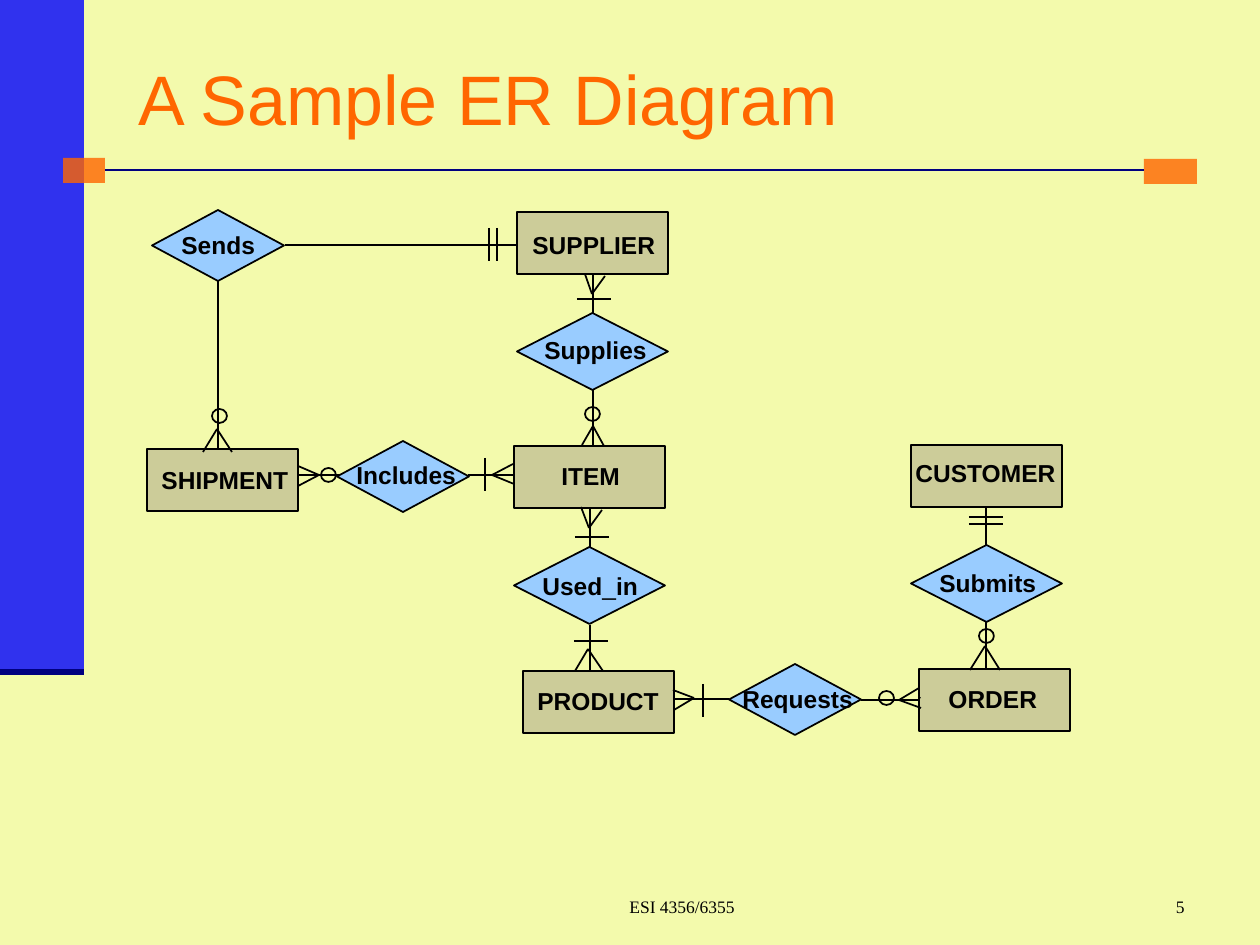
from pptx import Presentation
from pptx.dml.color import RGBColor
from pptx.enum.shapes import MSO_CONNECTOR, MSO_SHAPE
from pptx.enum.text import MSO_ANCHOR, MSO_AUTO_SIZE, PP_ALIGN
from pptx.oxml.ns import qn
from pptx.util import Pt
from lxml.etree import SubElement

PX = 914400 / 126
CREAM = RGBColor(0xF3, 0xFA, 0xAC)
BLUE = RGBColor(0x00, 0x00, 0xFF)
NAVY = RGBColor(0x00, 0x00, 0x80)
ORANGE = RGBColor(0xFF, 0x66, 0x00)
TAN = RGBColor(0xCC, 0xCC, 0x99)
SKY = RGBColor(0x99, 0xCC, 0xFF)
BLACK = RGBColor(0x00, 0x00, 0x00)

deck = Presentation()
deck.slide_width, deck.slide_height = round(1260 * PX), round(945 * PX)
slide = deck.slides.add_slide(deck.slide_layouts[5])
slide.background.fill.solid()
slide.background.fill.fore_color.rgb = CREAM
shapes = slide.shapes


def add_form(kind, box, fill=None, edge=None):
    form = shapes.add_shape(kind, *[round(n * PX) for n in box])
    form.shadow.inherit = False
    if fill is None:
        form.fill.background()
    else:
        form.fill.solid()
        form.fill.fore_color.rgb = fill
    if edge is None:
        form.line.fill.background()
    else:
        form.line.color.rgb = edge
        form.line.width = Pt(1)
    return form


def add_line(start, end, color=BLACK, width=1):
    line = shapes.add_connector(
        MSO_CONNECTOR.STRAIGHT, *[round(n * PX) for n in (*start, *end)])
    line.line.color.rgb = color
    line.line.width = Pt(width)
    SubElement(line._element.spPr, qn("a:effectLst"))


bands = [
    ((0, 0, 84, 672), BLUE),
    ((1144, 159, 53, 25), ORANGE),
    ((63, 158, 42, 25), ORANGE),
]
for box, color in bands:
    band = add_form(MSO_SHAPE.RECTANGLE, box, color)
    tint = band._element.spPr.find(qn("a:solidFill"))[0]
    SubElement(tint, qn("a:alpha")).set("val", "80000")
add_line((0, 672), (84, 672), NAVY, 3.5)
add_line((105, 170), (1144, 170), NAVY, 1.5)

title = shapes.title
title.left, title.top, title.width, title.height = [
    round(n * PX) for n in (126, 37, 1071, 120)]
frame = title.text_frame
frame.auto_size = MSO_AUTO_SIZE.NONE
frame.vertical_anchor = MSO_ANCHOR.MIDDLE
para = frame.paragraphs[0]
para.alignment = PP_ALIGN.LEFT
run = para.add_run()
run.text = "A Sample ER Diagram"
run.font.size = Pt(40)
run.font.name = "Arial"
run.font.color.rgb = ORANGE

for left, top in [(919, 669), (911, 445), (523, 671),
                  (514, 446), (517, 212), (147, 449)]:
    add_form(MSO_SHAPE.RECTANGLE, (left, top, 151, 62), TAN, BLACK)
for left, top in [(911, 545), (514, 547), (517, 313)]:
    add_form(MSO_SHAPE.DIAMOND, (left, top, 151, 77), SKY, BLACK)
for left, top in [(729, 664), (337, 441), (152, 210)]:
    add_form(MSO_SHAPE.DIAMOND, (left, top, 132, 71), SKY, BLACK)

links = [
    ((986, 669), (986, 622)),
    ((986, 545), (986, 507)),
    ((590, 671), (590, 625)),
    ((590, 547), (590, 508)),
    ((593, 313), (593, 274)),
    ((593, 445), (593, 390)),
    ((920, 697), (919, 699)),
    ((861, 700), (919, 700)),
    ((729, 699), (673, 699)),
    ((514, 475), (468, 475)),
    ((340, 475), (298, 475)),
    ((285, 245), (518, 245)),
    ((218, 281), (218, 449)),
]
for start, end in links:
    add_line(start, end)

claws = [
    ((970, 670), (985, 646), (1000, 670)),
    ((605, 276), (592, 294), (585, 274)),
    ((575, 671), (588, 649), (603, 671)),
    ((203, 452), (217, 429), (232, 452)),
    ((582, 445), (593, 426), (604, 446)),
    ((298, 466), (319, 475), (298, 486)),
    ((514, 484), (492, 475), (513, 464)),
    ((602, 510), (589, 528), (581, 507)),
    ((673, 690), (694, 698), (674, 710)),
    ((921, 708), (899, 700), (919, 688)),
]
for start, tip, end in claws:
    add_line(start, tip)
    add_line(tip, end)

for left, top in [(969, 524), (969, 517), (575, 537), (577, 299), (574, 641)]:
    add_line((left, top), (left + 34, top))
for left, top in [(497, 228), (489, 228), (703, 684), (485, 458)]:
    add_line((left, top), (left, top + 33))
for left, top in [(979, 629), (212, 409), (585, 407), (321, 468), (879, 691)]:
    add_form(MSO_SHAPE.OVAL, (left, top, 15, 14), edge=BLACK)

names = [
    ("ORDER", 936, 678, 117),
    ("Submits", 927, 562, 126),
    ("CUSTOMER", 903, 452, 169),
    ("PRODUCT", 525, 680, 150),
    ("Used_in", 530, 565, 125),
    ("ITEM", 549, 455, 87),
    ("Requests", 730, 678, 140),
    ("Supplies", 532, 329, 131),
    ("SUPPLIER", 520, 224, 151),
    ("SHIPMENT", 149, 459, 156),
    ("Includes", 344, 454, 129),
    ("Sends", 169, 224, 102),
]
for name, left, top, width in names:
    label = shapes.add_textbox(*[round(n * PX) for n in (left, top, width, 43)])
    label.text_frame.word_wrap = False
    label.text_frame.auto_size = MSO_AUTO_SIZE.NONE
    para = label.text_frame.paragraphs[0]
    para.alignment = PP_ALIGN.LEFT
    head, bar, tail = name.partition("_")
    for part in filter(None, (head, bar, tail)):
        run = para.add_run()
        run.text = part
        run.font.size = Pt(14)
        run.font.name = "Arial"
        run.font.bold = part != "_"
        run.font.color.rgb = BLACK

notes = [
    ("ESI 4356/6355", 462, 410, PP_ALIGN.CENTER),
    ("5", 935, 262, PP_ALIGN.RIGHT),
]
for words, left, width, align in notes:
    foot = shapes.add_textbox(*[round(n * PX) for n in (left, 860, width, 63)])
    frame = foot.text_frame
    frame.word_wrap = True
    frame.vertical_anchor = MSO_ANCHOR.BOTTOM
    para = frame.paragraphs[0]
    para.alignment = align
    para._p.get_or_add_pPr().set("marL", str(round(30 * PX)))
    run = para.add_run()
    run.text = words
    run.font.size = Pt(10)
    run.font.name = "Times New Roman"
    run.font.color.rgb = BLACK

deck.save("out.pptx")
